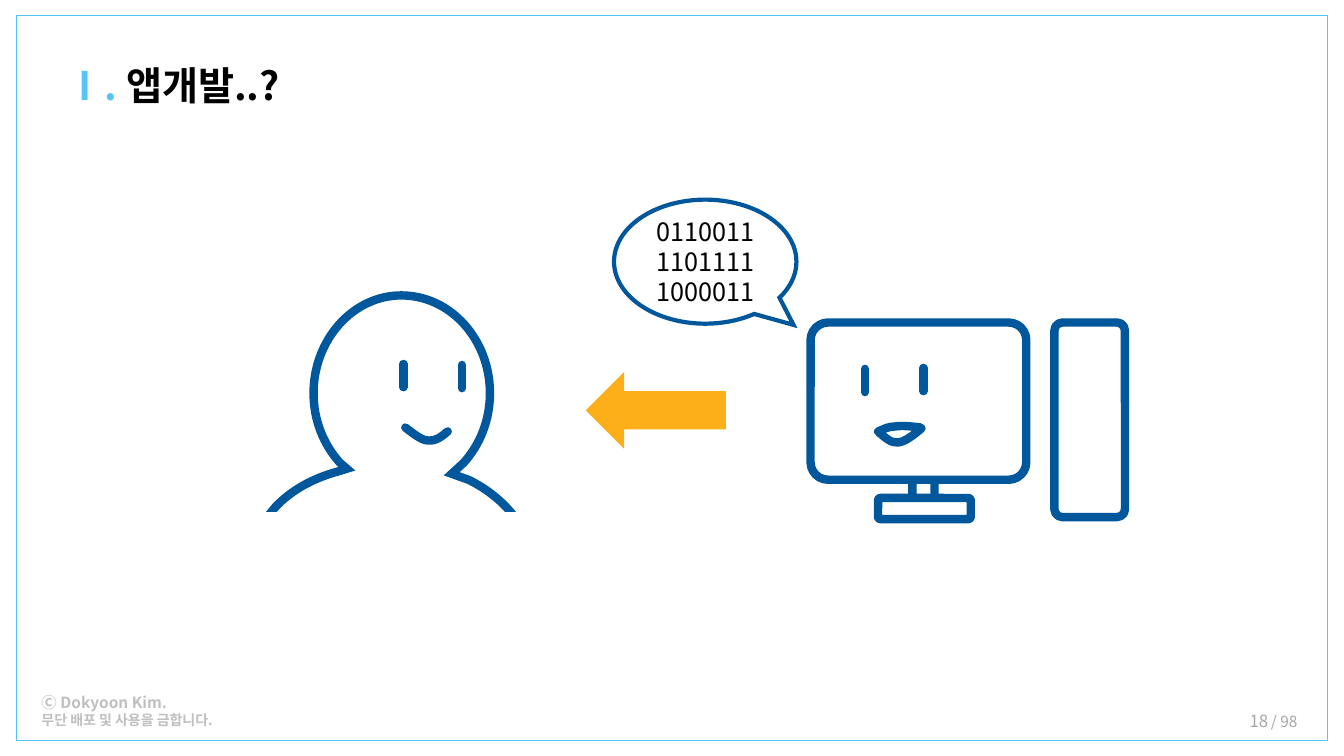
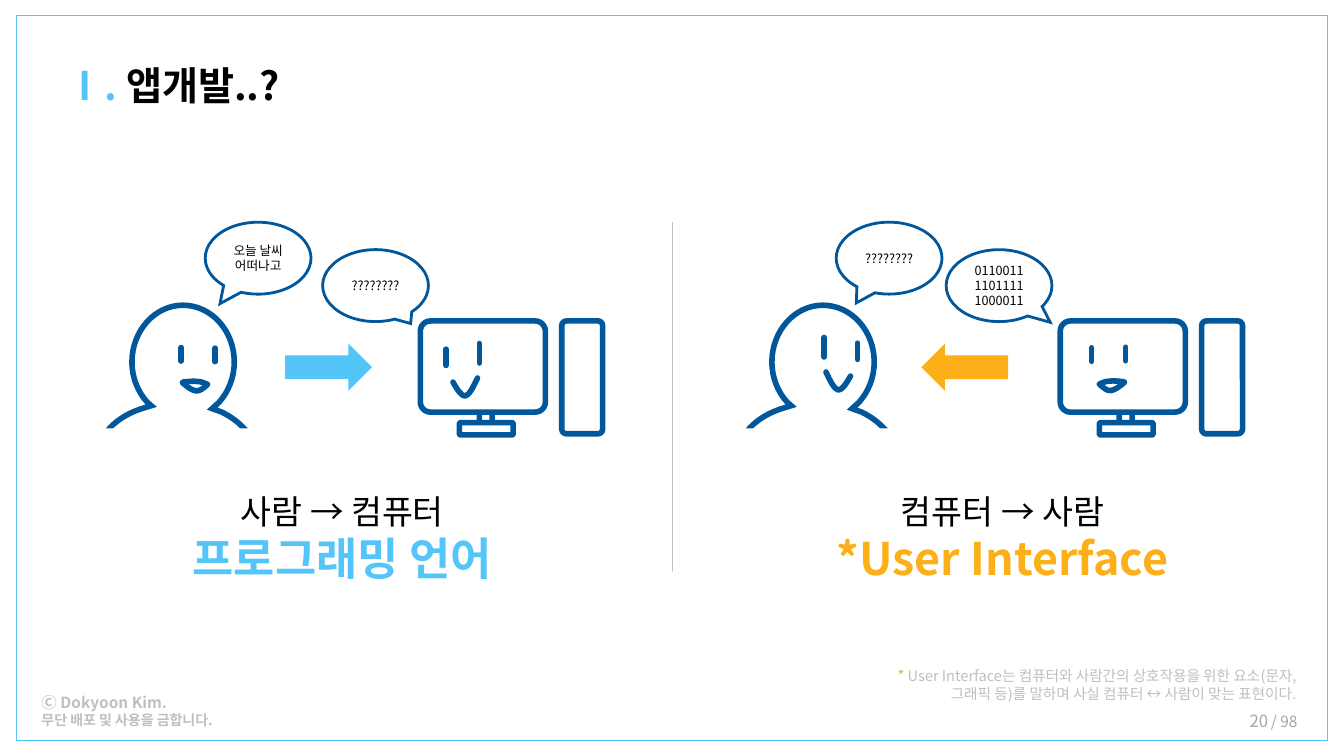
from dataclasses import dataclass

from lxml.etree import SubElement
from pptx import Presentation
from pptx.dml.color import RGBColor
from pptx.enum.shapes import MSO_CONNECTOR, MSO_SHAPE
from pptx.enum.text import MSO_ANCHOR, PP_ALIGN
from pptx.oxml.ns import qn
from pptx.util import Pt

FONT = "Noto Sans CJK KR"
NAVY, SKY, AMBER = "00579B", "54C5F9", "FCAF18"
WHITE, BLACK, SILVER, GREY = "FFFFFF", "000000", "BFBFBF", "A6A6A6"
CORNER = 0.112

PERSON = [
    (96.5, 0), (131.8, 0, 159.8, 31.7, 159.8, 69.8),
    (159.8, 89.3, 152.6, 106.6, 141.1, 119.5), (132.5, 127.4), (144.7, 131.8),
    (157.7, 138.2, 168.5, 146.9, 176.4, 157), (177.8, 159.1), (0, 159.1),
    (6.5, 151.2), (17.3, 139.7, 32.4, 131, 50.4, 126), (57.6, 123.8),
    (52.6, 119.5), (41, 106.6, 33.8, 89.3, 33.8, 69.8),
    (33.8, 31.7, 61.9, 0, 96.5, 0),
]
CALM_EYES = [(0, 0, 16.6), (41.8, 0.7, 16.6)]
WIDE_EYES = [(0, 0, 24), (41, 7, 20)]
SMILE = [(1.4, 45.4), (7.2, 49.7, 13, 54.7, 18, 54.7),
         (23, 55.4, 27.4, 51.8, 31.7, 48.2)]
LOWER_LIP = [(1.4, 43.2), (7.2, 48.2, 13, 52.6, 18, 53.3),
             (23, 54, 27.4, 49.7, 31.7, 46.1)]
UPPER_LIP = [(2.2, 42.5), (8.6, 41.8, 15.1, 41, 20.2, 41.8),
             (25.2, 41.8, 28.8, 43.9, 32.4, 45.4)]
POUT = [(2.2, 42.5), (7.2, 53.3, 12.2, 63.4, 17.3, 64.8),
        (22.3, 64.8, 27.4, 56.2, 32.4, 47.5)]
MOODS = {
    "smiling": (CALM_EYES, [SMILE]),
    "talking": (CALM_EYES, [LOWER_LIP, UPPER_LIP]),
    "puzzled": (WIDE_EYES, [POUT]),
}


@dataclass
class Area:
    left: float
    top: float
    scale: float = 1
    flip: int = 1

    def point(self, x, y):
        return (self.left + self.flip * x * self.scale, self.top + y * self.scale)

    def box(self, x, y, width, height):
        return (*self.point(x, y), width * self.scale, height * self.scale)


def color(value):
    return RGBColor.from_string(value)


def style_line(shape, line, weight, join="round"):
    shape.line.color.rgb = color(line)
    shape.line.width = Pt(weight)
    outline = shape.line._get_or_add_ln()
    if join == "round":
        outline.set("cap", "rnd")
        SubElement(outline, qn("a:round"))
    else:
        SubElement(outline, qn("a:miter")).set("lim", "800000")


def style_shape(shape, fill=None, line=None, weight=1, join="round"):
    shape.shadow.inherit = False
    if fill:
        shape.fill.solid()
        shape.fill.fore_color.rgb = color(fill)
    else:
        shape.fill.background()
    if line:
        style_line(shape, line, weight, join)
    else:
        shape.line.fill.background()


def add_preset(page, kind, box, adjust=(), **style):
    shape = page.shapes.add_shape(kind, *map(Pt, box))
    for index, value in enumerate(adjust):
        shape.adjustments[index] = value
    style_shape(shape, **style)
    return shape


def add_line(page, start, end, line, weight):
    connector = page.shapes.add_connector(
        MSO_CONNECTOR.STRAIGHT, *map(Pt, (*start, *end)))
    style_line(connector, line, weight)
    SubElement(connector._element.spPr, qn("a:effectLst"))


def bend(segment, points, shape):
    segment.tag = qn("a:cubicBezTo")
    for child in list(segment):
        segment.remove(child)
    for x, y in points:
        corner = SubElement(segment, qn("a:pt"))
        corner.set("x", str(x - shape.left))
        corner.set("y", str(y - shape.top))


def add_outline(page, area, outline, weight, closed=False, join="round"):
    parts = [[tuple(map(Pt, area.point(*part[i:i + 2]))) for i in range(0, len(part), 2)]
             for part in outline]
    builder = page.shapes.build_freeform(*parts[0][0])
    builder.add_line_segments([points[-1] for points in parts[1:]], close=closed)
    shape = builder.convert_to_shape()
    segments = list(shape._element.iter(qn("a:lnTo")))
    for segment, points in zip(segments, parts[1:]):
        if len(points) == 3:
            bend(segment, points, shape)
    style_shape(shape, line=NAVY, weight=weight, join=join)


def add_span(para, text, size=12, ink=BLACK, bold=False):
    span = para.add_run()
    span.text = text
    span.font.name = FONT
    span.font.size = Pt(size)
    span.font.bold = bold
    span.font.color.rgb = color(ink)


def write(shape, paras, align=PP_ALIGN.LEFT, anchor=MSO_ANCHOR.TOP):
    frame = shape.text_frame
    frame.word_wrap = True
    frame.vertical_anchor = anchor
    frame.margin_left = frame.margin_right = Pt(7.2)
    frame.margin_top = frame.margin_bottom = Pt(3.6)
    for index, spans in enumerate(paras):
        para = frame.add_paragraph() if index else frame.paragraphs[0]
        para.alignment = align
        for text, style in spans:
            add_span(para, text, **style)


def add_text(page, box, paras, **layout):
    write(page.shapes.add_textbox(*map(Pt, box)), paras, **layout)


def add_frame(page, number):
    add_preset(page, MSO_SHAPE.RECTANGLE, (11.7, 11.3, 936.7, 517.7),
               line=SKY, weight=0.75, join="miter")
    add_text(page, (39.6, 40.3, 554.4, 41), [[
        ("Ⅰ. ", dict(size=28, ink=SKY, bold=True)),
        ("앱개발..?", dict(size=28, bold=True))]])
    add_text(page, (22.5, 491.2, 224.6, 32.4), [
        [("Ⓒ Dokyoon Kim.", dict(size=11, ink=SILVER, bold=True))],
        [("무단 배포 및 사용을 금합니다.", dict(size=10, ink=SILVER, bold=True))]])
    add_text(page, (697, 500.4, 216, 28.8), [[(str(number), dict(ink=GREY))]],
             align=PP_ALIGN.RIGHT, anchor=MSO_ANCHOR.MIDDLE)
    add_text(page, (900.7, 505.4, 53, 20.9), [[("/ 98", dict(size=11, ink=GREY))]])


def add_face(page, area, mood, weight):
    eyes, strokes = MOODS[mood]
    for x, y, length in eyes:
        add_line(page, area.point(x, y), area.point(x, y + length), NAVY, weight)
    for stroke in strokes:
        add_outline(page, area, stroke, weight)


def add_person(page, area, weight):
    add_outline(page, area, PERSON, weight, closed=True, join="miter")
    left, bottom, width, height = area.box(-23, 159.1, 247.7, 66.2)
    add_preset(page, MSO_SHAPE.RECTANGLE, (left, bottom - 4.3, width, height), fill=WHITE)


def add_computer(page, area, weight):
    neck, screen = (461.5, 41.8, 15.8, 112.3), (388.8, 19.4, 154.1, 112.3)
    tower, base = (563, 19.4, 50.4, 139), (437, 144.7, 66.2, 15.1)
    for part, fill in ((neck, None), (screen, WHITE), (tower, None), (base, WHITE)):
        add_preset(page, MSO_SHAPE.ROUNDED_RECTANGLE, area.box(*part), [CORNER],
                   fill=fill, line=NAVY, weight=weight)


def add_bubble(page, area, corner, tail, lines, size, weight):
    bubble = add_preset(page, MSO_SHAPE.OVAL_CALLOUT, area.box(*corner, 130.3, 88.6), tail,
                        line=NAVY, weight=weight, join="miter")
    write(bubble, [[(line, dict(size=size))] for line in lines],
          align=PP_ALIGN.CENTER, anchor=MSO_ANCHOR.MIDDLE)


def add_scene(page, area, weight, faces, bubbles, size, arrow, arrow_ink, backward=False):
    add_person(page, area, weight)
    add_computer(page, area, weight)
    for x, y, mood, flip in faces:
        add_face(page, Area(*area.point(x, y), area.scale, flip), mood, weight)
    for corner, tail, lines in bubbles:
        add_bubble(page, area, corner, tail, lines, size, weight / 2)
    shape = add_preset(page, MSO_SHAPE.RIGHT_ARROW, area.box(*arrow), fill=arrow_ink)
    shape.rotation = 180 if backward else 0


def add_caption(page, left, direction, name, ink):
    add_text(page, (left, 347, 261.4, 74.9), [
        [(direction, dict(size=24))],
        [(name, dict(size=32, ink=ink, bold=True))]], align=PP_ALIGN.CENTER)


BINARY = ((248.4, -68.4), (0.484, 0.51), ["011001111011111000011"])
TALKING_COMPUTER = (469.4, 51.8, "talking", -1)
QUESTION = ["????????"]


def build_reply_page(page):
    add_frame(page, 18)
    add_scene(page, Area(190.2, 211), 6,
              [(97.9, 49, "smiling", 1), TALKING_COMPUTER], [BINARY], 18,
              (228.2, 54.7, 100, 54.7), AMBER, backward=True)


def build_comparison_page(page):
    add_frame(page, 20)
    add_scene(page, Area(74.7, 218, 0.58), 4,
              [(94.5, 52.2, "talking", 1), (461.5, 47.2, "puzzled", -1)],
              [((124, -102.2), (-0.36, 0.632), ["오늘 날씨", "어떠나고"]),
               ((268.6, -68.4), (0.332, 0.527), QUESTION)], 9,
              (222.4, 47.4, 107, 58), SKY)
    add_scene(page, Area(531.8, 218, 0.58), 4,
              [(98.2, 39.8, "puzzled", 1), TALKING_COMPUTER],
              [BINARY, ((113, -102.2), (-0.31, 0.622), QUESTION)], 9,
              (217.7, 47.4, 107, 58), AMBER, backward=True)
    add_line(page, (480.2, 159), (480.2, 408), SILVER, 0.5)
    add_caption(page, 113.8, "사람 → 컴퓨터", "프로그래밍 언어", SKY)
    add_caption(page, 585.4, "컴퓨터 → 사람", "*User Interface", AMBER)
    add_text(page, (627.1, 473, 306, 33.8), [[
        ("* ", dict(size=10.5, ink=AMBER)),
        ("User Interface는 컴퓨터와 사람간의 상호작용을 위한 요소"
         "(문자, 그래픽 등)를 말하며 사실 컴퓨터 ↔ 사람이 맞는 표현이다.",
         dict(size=10.5, ink=SILVER))]], align=PP_ALIGN.RIGHT)


def main():
    deck = Presentation()
    deck.slide_width, deck.slide_height = Pt(960), Pt(540)
    for build in (build_reply_page, build_comparison_page):
        build(deck.slides.add_slide(deck.slide_layouts[6]))
    deck.save("out.pptx")


if __name__ == "__main__":
    main()
